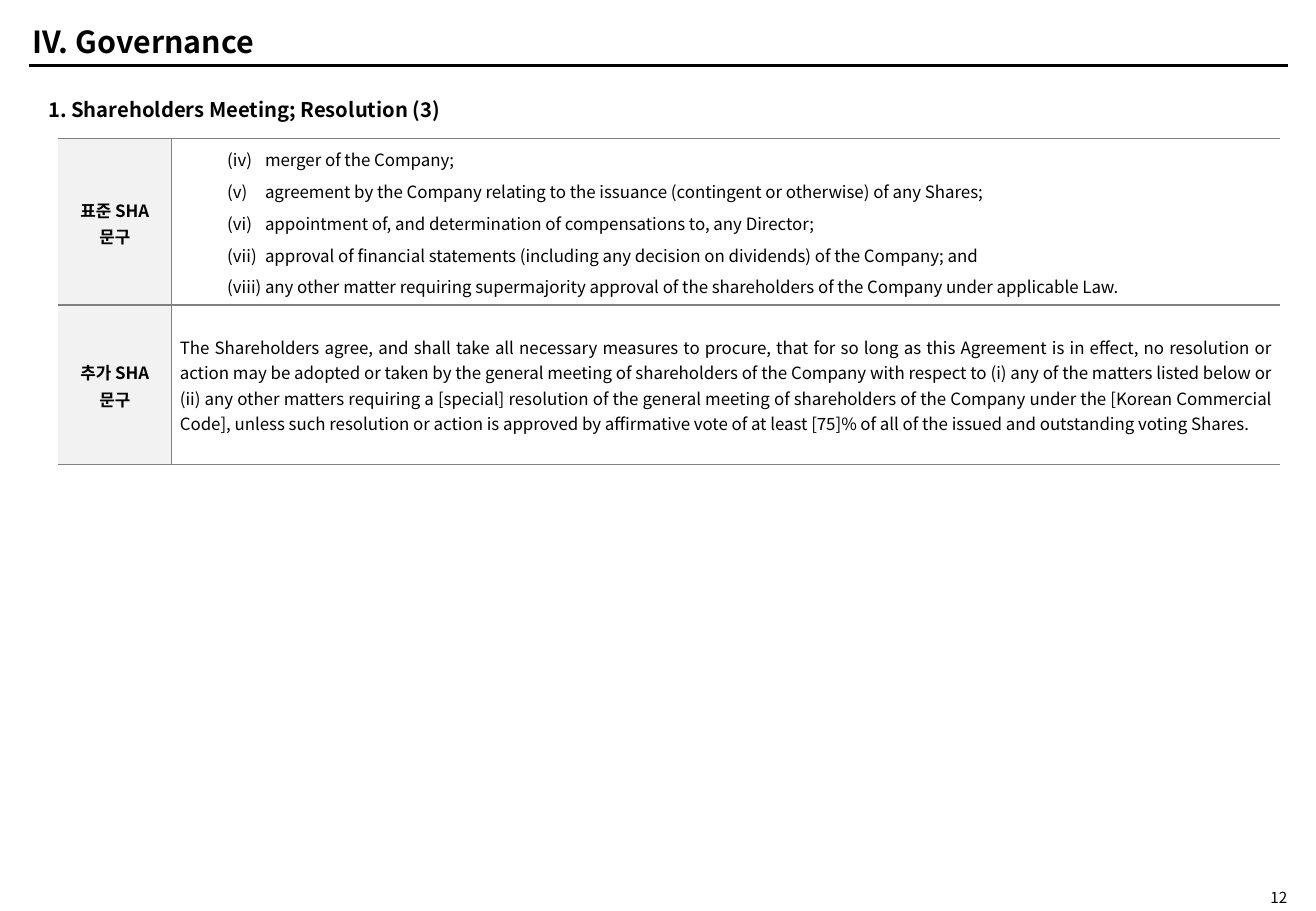
from lxml import etree
from pptx import Presentation
from pptx.dml.color import RGBColor
from pptx.enum.shapes import MSO_CONNECTOR
from pptx.enum.text import MSO_ANCHOR, MSO_AUTO_SIZE, PP_ALIGN
from pptx.oxml.ns import qn
from pptx.util import Cm, Pt

STRAIGHT = MSO_CONNECTOR.STRAIGHT
TOP, MIDDLE = MSO_ANCHOR.TOP, MSO_ANCHOR.MIDDLE
LEFT, CENTER, RIGHT, JUSTIFY = (PP_ALIGN.LEFT, PP_ALIGN.CENTER,
                                PP_ALIGN.RIGHT, PP_ALIGN.JUSTIFY)
NO_AUTOFIT = MSO_AUTO_SIZE.NONE

FONT = "Noto Sans CJK KR"
BLACK, GREY, PALE = "000000", "808080", "F2F2F2"
LABEL = {"alignment": CENTER, "line_spacing": 1.1}
ITEM = {"alignment": JUSTIFY, "line_spacing": 1.1, "space_after": Pt(3)}
CLAUSE = {"alignment": JUSTIFY, "line_spacing": Pt(15)}

STANDARD_ITEMS = [
    "merger of the Company;",
    "agreement by the Company relating to the issuance (contingent or otherwise) of any Shares;",
    "appointment of, and determination of compensations to, any Director;",
    "approval of financial statements (including any decision on dividends) of the Company; and",
    "any other matter requiring supermajority approval of the shareholders of the Company "
    "under applicable Law.",
]
ADDED_CLAUSE = [
    "The Shareholders agree, and shall take all necessary measures to procure, that for so long "
    "as this Agreement is in effect, no resolution or action may be adopted or taken by the "
    "general meeting of shareholders of the Company with respect to (i) any of the matters "
    "listed below or (ii) any other matters requiring a [special] resolution of the general "
    "meeting of shareholders of the Company under the [Korean Commercial Code], unless such "
    "resolution or action is approved by affirmative vote of at least [75]% of all of the "
    "issued and outstanding voting Shares.",
]


def rgb(value):
    return RGBColor.from_string(value)


def set_attrs(obj, values):
    for name, value in values.items():
        setattr(obj, name, value)


def write(tf, texts, size, bold=False, fmt=None):
    """Fill a text frame with one formatted paragraph per text."""
    for i, text in enumerate(texts):
        p = tf.add_paragraph() if i else tf.paragraphs[0]
        set_attrs(p, fmt or {"alignment": LEFT})
        r = p.add_run()
        r.text = text
        set_attrs(r.font, {"name": FONT, "size": Pt(size), "bold": bold})
        r.font.color.rgb = rgb(BLACK)
        ea = etree.SubElement(r.font._element, qn("a:ea"))
        ea.set("typeface", FONT)


def number(p, start):
    """Give a paragraph a hanging (i) number."""
    pPr = p._p.get_or_add_pPr()
    pPr.set("marL", str(Cm(1.78)))
    pPr.set("indent", str(Cm(-0.79)))
    bu = etree.SubElement(pPr, qn("a:buAutoNum"))
    bu.set("type", "romanLcParenBoth")
    bu.set("startAt", str(start))


def place(sp, box, text, size, bold, anchor, align=LEFT):
    """Move a text shape and write its single line."""
    set_attrs(sp, dict(zip(("left", "top", "width", "height"), map(Cm, box))))
    set_attrs(sp.text_frame, {"word_wrap": True, "auto_size": NO_AUTOFIT,
                              "vertical_anchor": anchor})
    write(sp.text_frame, [text], size, bold, {"alignment": align})


def add_rule(s, x1, x2, y):
    line = s.shapes.add_connector(STRAIGHT, Cm(x1), Cm(y), Cm(x2), Cm(y))
    line.line.color.rgb = rgb(BLACK)
    line.line.width = Pt(2)
    etree.SubElement(line._element.spPr, qn("a:effectLst"))


def set_borders(cell, visible):
    """Draw the named sides in grey and clear the others."""
    tcPr = cell._tc.get_or_add_tcPr()
    for i, side in enumerate("LRTB"):
        ln = etree.Element(qn("a:ln" + side), w=str(Pt(1)))
        if side in visible:
            fill = etree.SubElement(ln, qn("a:solidFill"))
            etree.SubElement(fill, qn("a:srgbClr"), val=GREY)
        else:
            etree.SubElement(ln, qn("a:noFill"))
        tcPr.insert(i, ln)


def fill_cell(cell, texts, bold, fmt, fill, borders):
    set_attrs(cell, {"vertical_anchor": MIDDLE,
                     "margin_left": Cm(0.18), "margin_right": Cm(0.18),
                     "margin_top": 0, "margin_bottom": 0})
    if fill:
        cell.fill.solid()
        cell.fill.fore_color.rgb = rgb(fill)
    else:
        cell.fill.background()
    set_borders(cell, borders)
    write(cell.text_frame, texts, 10, bold, fmt)


def add_clause_table(s):
    rows = [("표준 SHA 문구", STANDARD_ITEMS, ITEM, 3.48),
            ("추가 SHA 문구", ADDED_CLAUSE, CLAUSE, 3.33)]
    widths = [2.36, 23.17]
    table = s.shapes.add_table(len(rows), len(widths), Cm(1.22), Cm(2.9),
                               Cm(sum(widths)), Cm(sum(r[3] for r in rows))).table
    set_attrs(table, {"first_row": False, "horz_banding": False})
    for column, width in zip(table.columns, widths):
        column.width = Cm(width)
    for i, (label, texts, fmt, height) in enumerate(rows):
        table.rows[i].height = Cm(height)
        fill_cell(table.cell(i, 0), [label], True, LABEL, PALE, "RTB")
        fill_cell(table.cell(i, 1), texts, False, fmt, None, "LTB")
    for p in table.cell(0, 1).text_frame.paragraphs:
        number(p, 4)


def main():
    prs = Presentation()
    set_attrs(prs, {"slide_width": Cm(27.51), "slide_height": Cm(19.05)})
    s = prs.slides.add_slide(prs.slide_layouts[5])

    # Header
    add_rule(s, 0.61, 26.92, 1.37)
    place(s.shapes.title, (0.43, 0.38, 12.98, 0.97), "IV. Governance", 18, True, MIDDLE)

    # Section heading and clauses
    heading = s.shapes.add_textbox(0, 0, 0, 0)
    place(heading, (0.76, 1.91, 25.45, 0.76),
          "1. Shareholders Meeting; Resolution (3)", 12, True, TOP)
    add_clause_table(s)

    # Page number
    page = s.shapes.add_textbox(0, 0, 0, 0)
    set_attrs(page.text_frame, {"margin_top": 0, "margin_bottom": 0})
    place(page, (24.77, 18.57, 2.39, 0.38), "12", 9, False, MIDDLE, RIGHT)

    prs.save("out.pptx")


if __name__ == "__main__":
    main()
